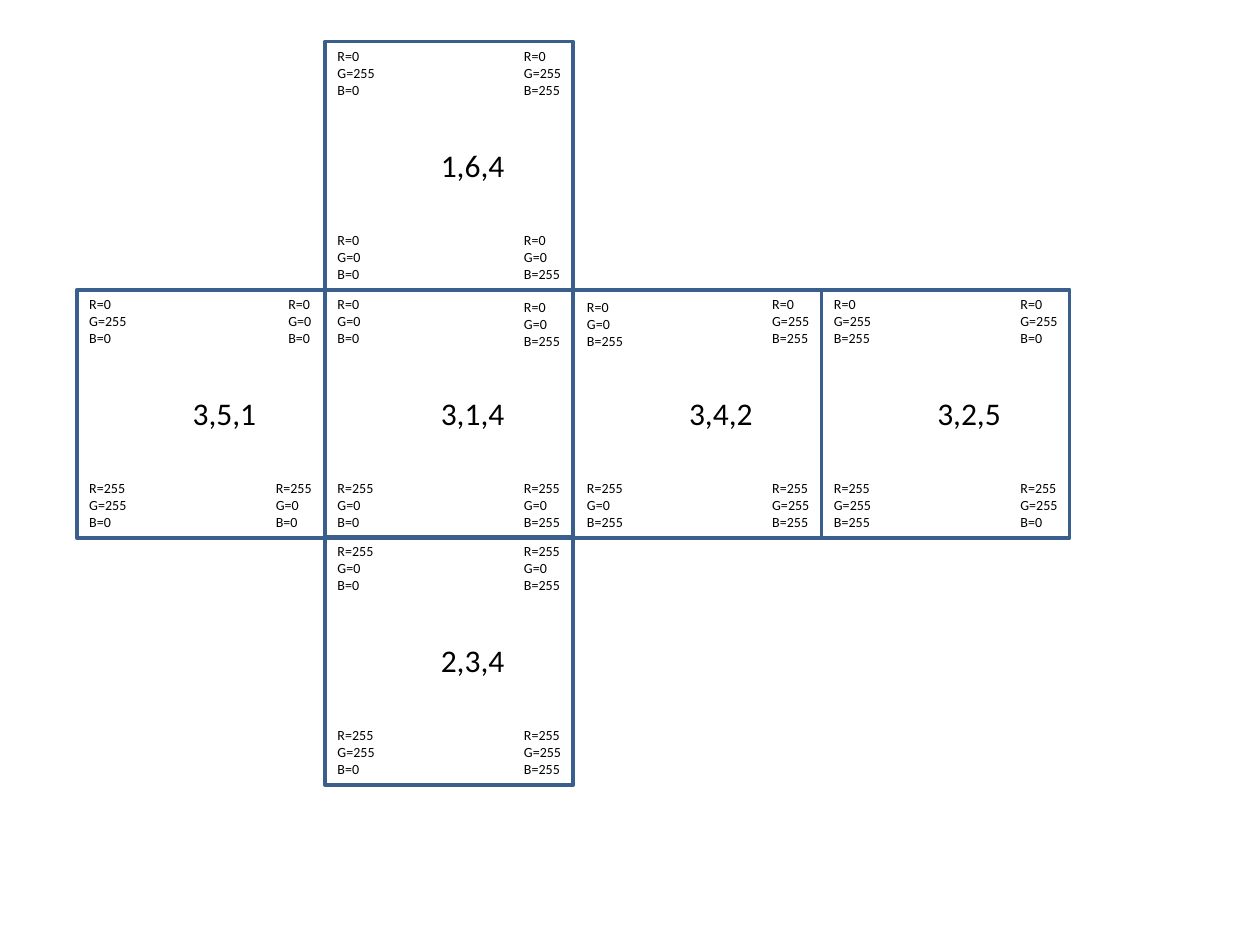
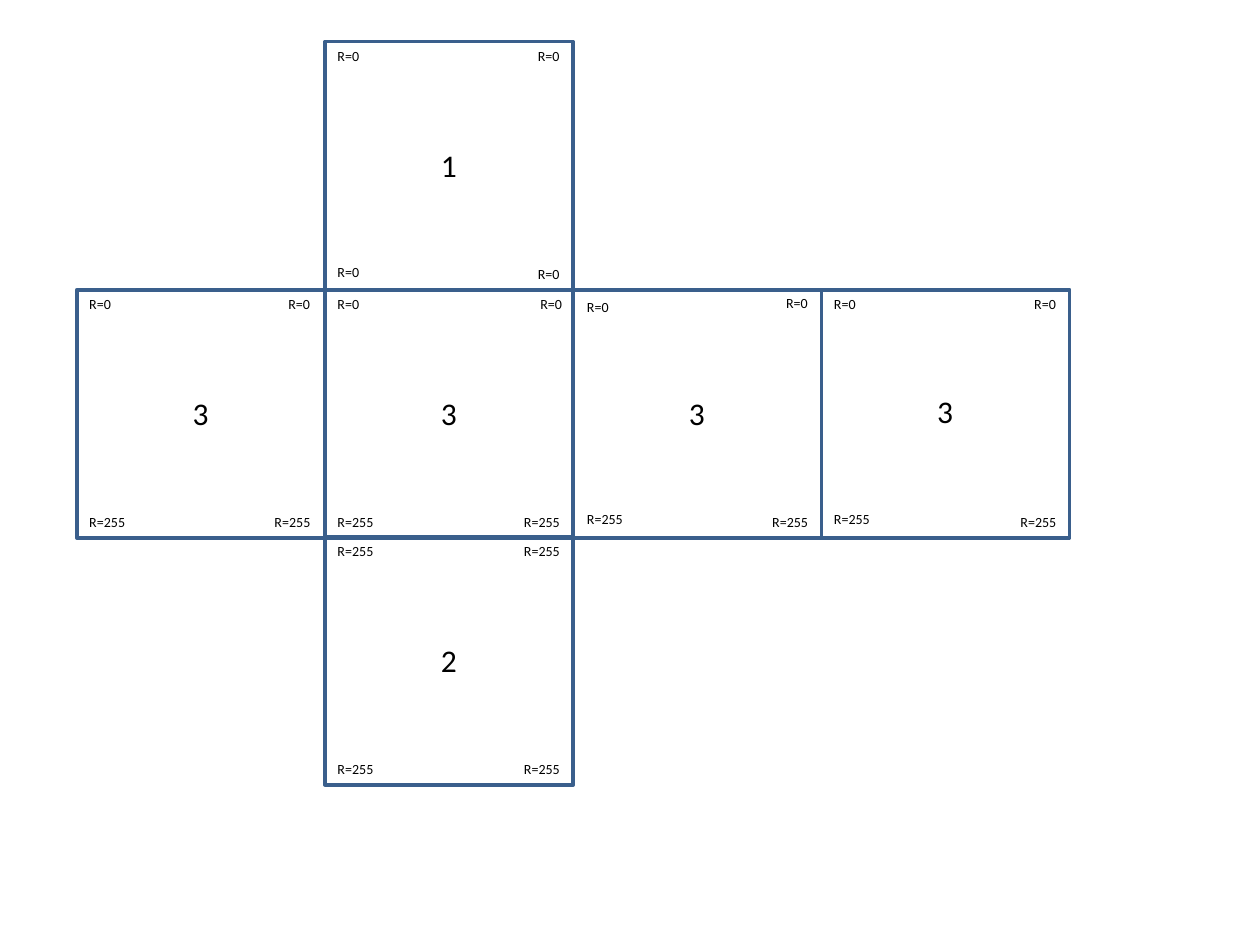
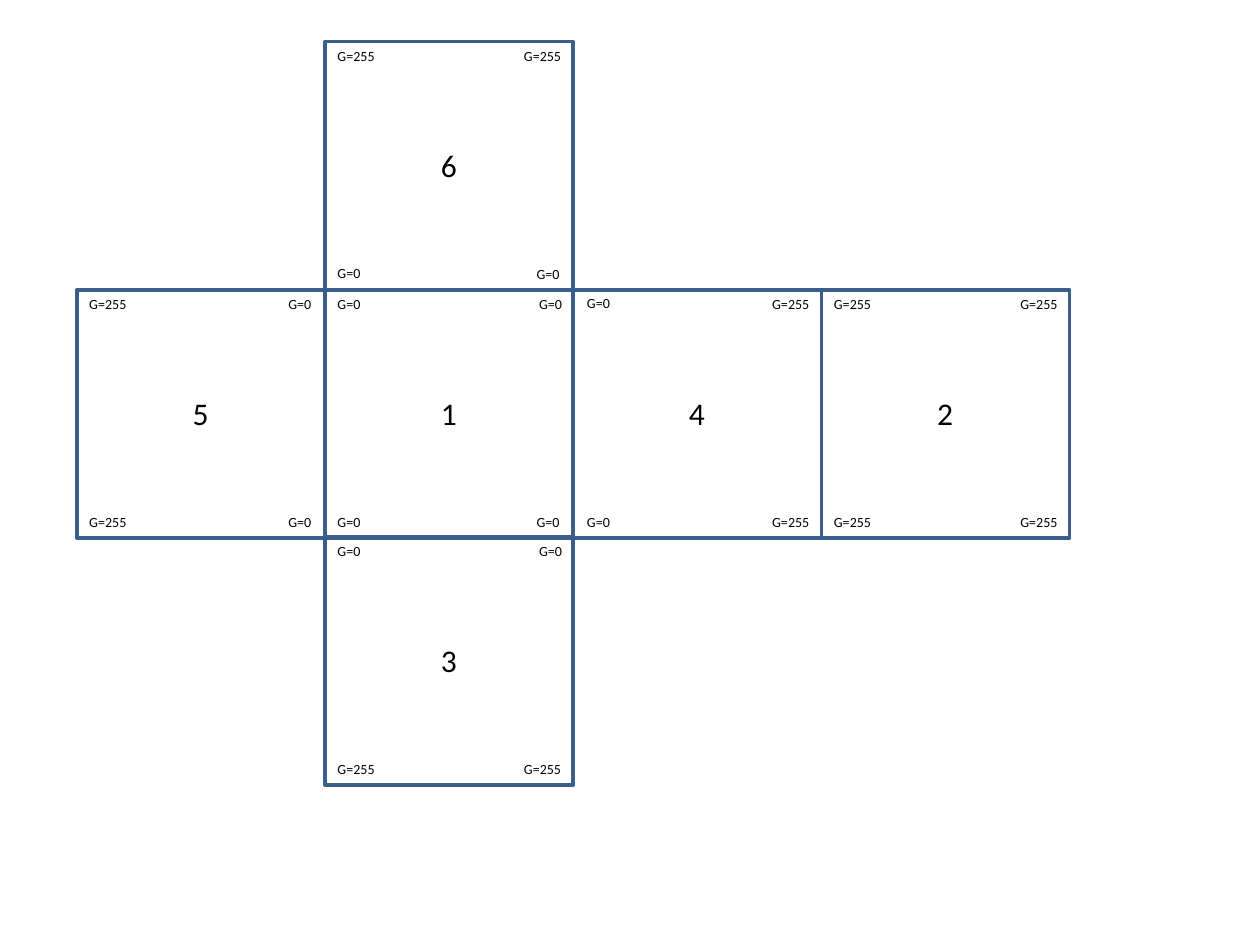
from collections import namedtuple

from pptx import Presentation
from pptx.dml.color import RGBColor
from pptx.enum.shapes import MSO_SHAPE as Shape
from pptx.enum.text import MSO_AUTO_SIZE as AutoSize
from pptx.util import Emu, Pt

PX_PER_INCH = 100
FONT = "Calibri"
EDGE = "3A5F8C"
INK = "000000"
NET_LEFT, NET_TOP, FACE_SIZE = 61, 33, 197
ROW_TOPS = (0, 197, 393)
NUMBER_LEFT, NUMBER_TOP, NUMBER_HEIGHT = 82, 78, 40
LABEL_WIDTHS = {"0": 38, "255": 51}
RIGHT_OFFSETS = {"0": 158, "255": 148}
LABEL_HEIGHTS = {1: 24, 3: 51}

Face = namedtuple("Face", "column row numbers corners")
FACES = {
    "left": Face(0, 1, "351", "010 000 110 100"),
    "front": Face(1, 1, "314", "000 001 100 101"),
    "up": Face(1, 0, "164", "010 011 000 001"),
    "down": Face(1, 2, "234", "100 101 110 111"),
    "right": Face(2, 1, "342", "001 011 101 111"),
    "back": Face(3, 1, "325", "011 010 111 110"),
}
CORNERS = ("top left", "top right", "bottom left", "bottom right")
NO_NUDGE = (0, 0)

NETS = [
    ("RGB", {("front", "top right"): (0, 2), ("right", "top left"): (1, 2),
             ("right", "bottom left"): (1, 0)}),
    ("R", {("up", "top right"): (1, 0), ("up", "bottom left"): (0, -2),
           ("up", "bottom right"): (1, 0), ("front", "top right"): (3, 0),
           ("left", "bottom right"): (-1, 0), ("right", "top left"): (1, 2),
           ("right", "top right"): (1, -1), ("right", "bottom left"): (1, -3),
           ("back", "top right"): (1, 0), ("back", "bottom left"): (0, -3),
           ("back", "number"): (0, -2)}),
    ("G", {("up", "bottom left"): (0, -1), ("front", "top right"): (2, 0),
           ("down", "top right"): (2, 0), ("right", "top left"): (1, -1),
           ("right", "bottom left"): (1, 0)}),
]


def px(length):
    return Emu(round(length * 914400 / PX_PER_INCH))


def color(hex_string):
    return RGBColor.from_string(hex_string)


def add_text(slide, left, top, width, height, lines, size):
    box = slide.shapes.add_textbox(px(left), px(top), px(width), px(height))
    frame = box.text_frame
    frame.text = "\n".join(lines)
    frame.word_wrap = False
    frame.auto_size = AutoSize.SHAPE_TO_FIT_TEXT
    for paragraph in frame.paragraphs:
        for run in paragraph.runs:
            run.font.name = FONT
            run.font.size = Pt(size)
            run.font.color.rgb = color(INK)


def add_outline(slide, left, top):
    outline = slide.shapes.add_shape(
        Shape.RECTANGLE, px(left), px(top), px(FACE_SIZE), px(FACE_SIZE))
    outline.shadow.inherit = False
    outline.fill.background()
    outline.line.color.rgb = color(EDGE)
    outline.line.width = Pt(2)


def add_corner(slide, left, top, corner, bits, channels, nudge):
    levels = ["255" if bits["RGB".index(name)] == "1" else "0" for name in channels]
    lines = [f"{name}={level}" for name, level in zip(channels, levels)]
    widest = max(levels, key=len)
    height = LABEL_HEIGHTS[len(lines)]
    if "right" in corner:
        left += RIGHT_OFFSETS[widest]
    if "bottom" in corner:
        top += FACE_SIZE - height
    add_text(slide, left + nudge[0], top + nudge[1],
             LABEL_WIDTHS[widest], height, lines, 8)


def add_number(slide, left, top, numbers, channels, nudge):
    shown = ",".join(numbers["RGB".index(name)] for name in channels)
    width = 71 if len(channels) > 1 else 33
    add_text(slide, left + NUMBER_LEFT + nudge[0], top + NUMBER_TOP + nudge[1],
             width, NUMBER_HEIGHT, [shown], 18)


def add_net(slide, left, top, channels, nudges):
    places = {name: (left + face.column * FACE_SIZE, top + ROW_TOPS[face.row])
              for name, face in FACES.items()}
    for place in places.values():
        add_outline(slide, *place)
    for name, face in FACES.items():
        for corner, bits in zip(CORNERS, face.corners.split()):
            add_corner(slide, *places[name], corner, bits, channels,
                       nudges.get((name, corner), NO_NUDGE))
        add_number(slide, *places[name], face.numbers, channels,
                   nudges.get((name, "number"), NO_NUDGE))


def main():
    deck = Presentation()
    deck.slide_width, deck.slide_height = px(1000), px(750)
    blank = deck.slide_layouts[6]
    for channels, nudges in NETS:
        add_net(deck.slides.add_slide(blank), NET_LEFT, NET_TOP, channels, nudges)
    deck.save("out.pptx")


if __name__ == "__main__":
    main()
